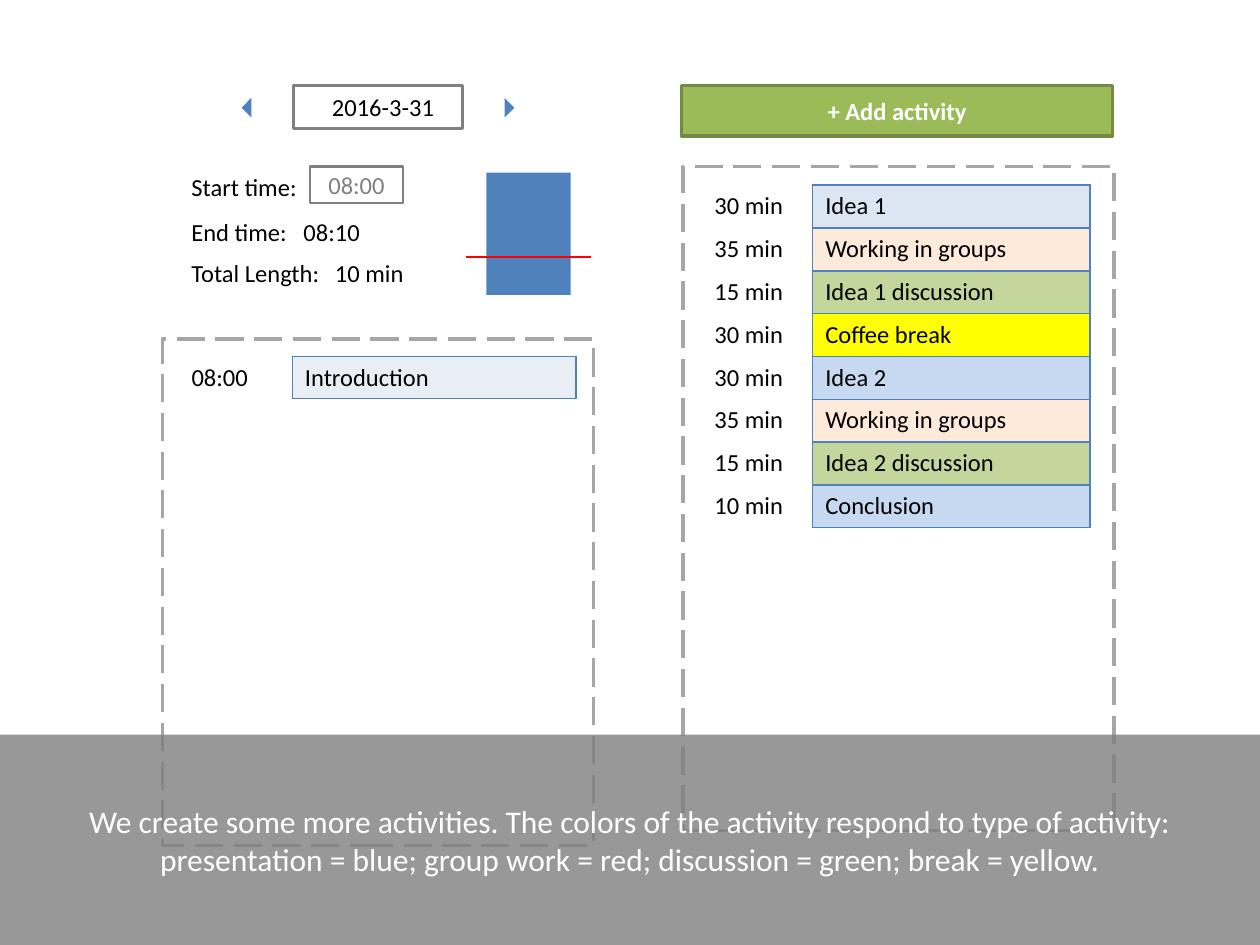
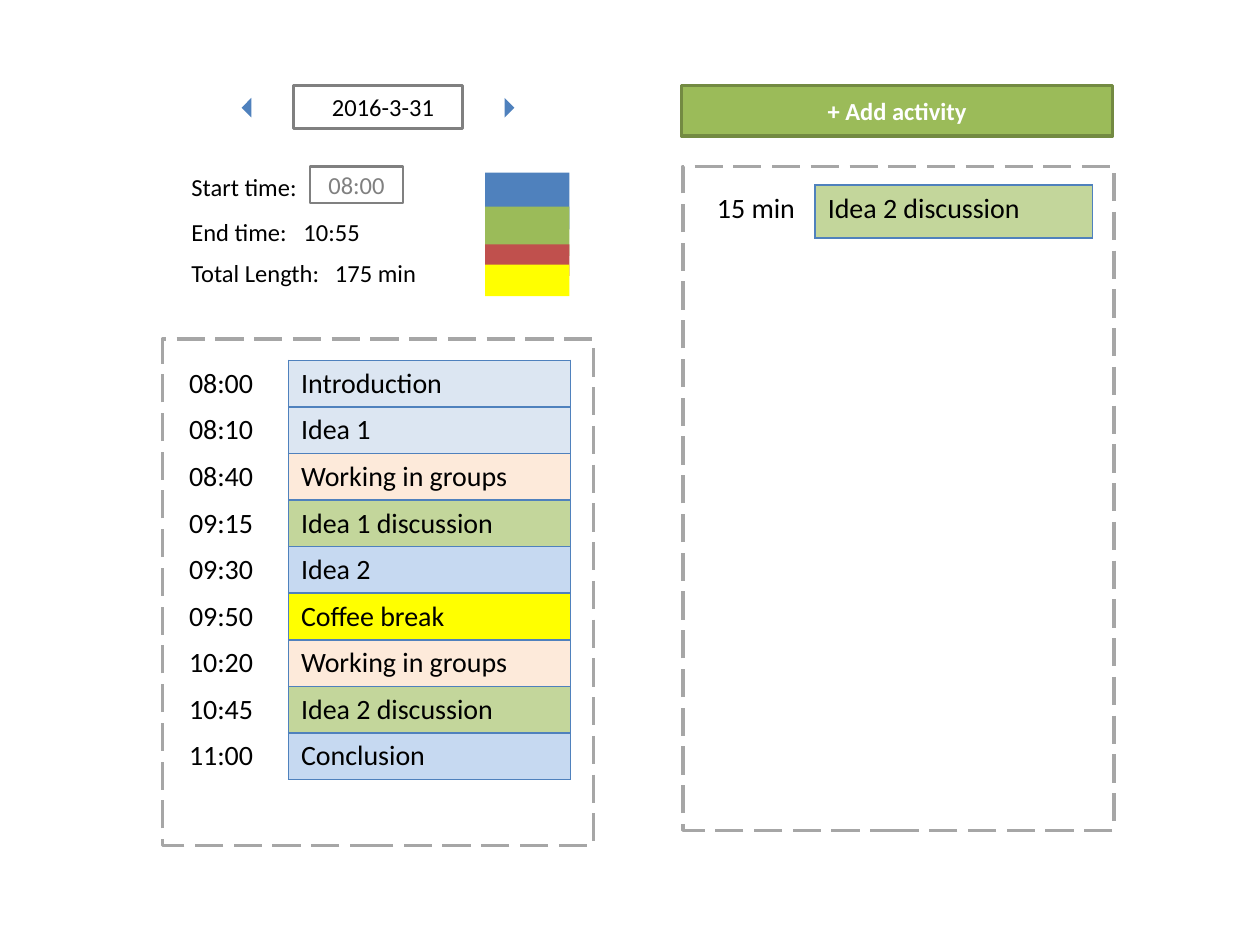
"""Build two planner screens: activities being created, then scheduled."""
from dataclasses import dataclass
from typing import Optional

import lxml.etree
import pptx
import pptx.dml.color
import pptx.enum.dml
import pptx.enum.shapes
import pptx.enum.text
import pptx.oxml.ns
import pptx.util
from pptx.dml.color import RGBColor
from pptx.util import Inches

BLACK = RGBColor(0x00, 0x00, 0x00)
WHITE = RGBColor(0xFF, 0xFF, 0xFF)
GRAY = RGBColor(0x80, 0x80, 0x80)
FRAME_GRAY = RGBColor(0xA6, 0xA6, 0xA6)
BAND_GRAY = RGBColor(0x7F, 0x7F, 0x7F)
BLUE = RGBColor(0x4F, 0x81, 0xBD)
GREEN = RGBColor(0x9B, 0xBB, 0x59)
DARK_GREEN = RGBColor(0x73, 0x8A, 0x42)
BRICK = RGBColor(0xC0, 0x50, 0x4D)
RED = RGBColor(0xFF, 0x00, 0x00)
YELLOW = RGBColor(0xFF, 0xFF, 0x00)
ICE_BLUE = RGBColor(0xE9, 0xED, 0xF4)
PALE_BLUE = RGBColor(0xDC, 0xE6, 0xF2)
SOFT_BLUE = RGBColor(0xC6, 0xD9, 0xF1)
PALE_RED = RGBColor(0xFD, 0xEA, 0xDA)
PALE_GREEN = RGBColor(0xC3, 0xD6, 0x9B)

FONT = "Calibri"
Shapes = pptx.enum.shapes.MSO_SHAPE
Align = pptx.enum.text.PP_ALIGN
Anchor = pptx.enum.text.MSO_ANCHOR
qn = pptx.oxml.ns.qn


@dataclass
class Box:
    """A rectangle in inches."""
    left: float
    top: float
    width: float
    height: float

    def lengths(self) -> list:
        """Return the four lengths in drawing units."""
        return [Inches(n) for n in (self.left, self.top, self.width, self.height)]


@dataclass
class Activity:
    """One row of an activity list."""
    time: str
    name: str
    color: RGBColor


@dataclass
class ActivityTable:
    """An activity list with its place, column widths and text size."""
    left: float
    top: float
    columns: tuple
    row_height: float
    size: int
    activities: list


@dataclass
class Bar:
    """A coloured part of the bar that sums up activity types."""
    top: float
    height: float
    color: RGBColor


@dataclass
class Screen:
    """What differs between the planner screens."""
    end_time: str
    total_length: str
    total_width: float
    bar_left: float
    bars: list
    tables: list
    limit_line: bool = False
    caption: str = ""


def write(text_frame, text: str, size: float, color: RGBColor = BLACK,
          align=Align.LEFT, bold: bool = False) -> None:
    """Put one formatted paragraph into a text frame."""
    text_frame.text = text
    paragraph = text_frame.paragraphs[0]
    paragraph.alignment = align
    for run in paragraph.runs:
        run.font.name = FONT
        run.font.size = pptx.util.Pt(size)
        run.font.bold = bold
        run.font.color.rgb = color


def add_box(slide, box: Box, fill: Optional[RGBColor] = None,
            line: Optional[RGBColor] = None, width: float = 1.5,
            kind=Shapes.RECTANGLE):
    """Add a flat preset shape."""
    shape = slide.shapes.add_shape(kind, *box.lengths())
    shape.shadow.inherit = False
    if fill is None:
        shape.fill.background()
    else:
        shape.fill.solid()
        shape.fill.fore_color.rgb = fill
    if line is None:
        shape.line.fill.background()
    else:
        shape.line.color.rgb = line
        shape.line.width = pptx.util.Pt(width)
    return shape


def add_label(slide, box: Box, text: str, tab: float = 0) -> None:
    """Add a one-line label whose value, if any, starts at a tab stop."""
    text_frame = slide.shapes.add_textbox(*box.lengths()).text_frame
    text_frame.word_wrap = False
    write(text_frame, text, 14)
    if tab:
        properties = text_frame.paragraphs[0].runs[0].font
        properties = text_frame.paragraphs[0].runs[0]
        paragraph_properties = text_frame.paragraphs[0]._p.get_or_add_pPr()
        stops = lxml.etree.SubElement(paragraph_properties, qn("a:tabLst"))
        lxml.etree.SubElement(stops, qn("a:tab"), pos=str(Inches(tab)), algn="l")


def add_borders(cell_element, sides: str) -> None:
    """Draw blue borders on the given sides of a table cell."""
    properties = cell_element.get_or_add_tcPr()
    for index, side in enumerate(sides):
        border = lxml.etree.Element(qn(f"a:ln{side}"), w=str(pptx.util.Pt(1)))
        fill = lxml.etree.SubElement(border, qn("a:solidFill"))
        lxml.etree.SubElement(fill, qn("a:srgbClr"), val=str(BLUE))
        properties.insert(index, border)


def add_activity_table(slide, data: ActivityTable) -> None:
    """Add a list of times and coloured activity names."""
    count = len(data.activities)
    box = Box(data.left, data.top, sum(data.columns), data.row_height * count)
    table = slide.shapes.add_table(count, 2, *box.lengths()).table
    table.first_row = table.horz_banding = False
    for column, width in zip(table.columns, data.columns):
        column.width = Inches(width)
    for index, activity in enumerate(data.activities):
        table.rows[index].height = Inches(data.row_height)
        time_cell, name_cell = table.cell(index, 0), table.cell(index, 1)
        time_cell.fill.background()
        name_cell.fill.solid()
        name_cell.fill.fore_color.rgb = activity.color
        write(time_cell.text_frame, activity.time, data.size)
        write(name_cell.text_frame, activity.name, data.size)
        add_borders(time_cell._tc, "R")
        add_borders(name_cell._tc, "LRTB")


def add_frames(slide) -> None:
    """Add the add-activity button and the two dashed list frames."""
    button = add_box(slide, Box(5.41, 0.68, 3.42, 0.4), GREEN, DARK_GREEN, 2)
    write(button.text_frame, "+ Add activity", 14, WHITE, Align.CENTER, True)
    for box in (Box(5.42, 1.32, 3.42, 5.27), Box(1.29, 2.69, 3.42, 4.02)):
        frame = add_box(slide, box, line=FRAME_GRAY, width=2)
        frame.line.dash_style = pptx.enum.dml.MSO_LINE.LONG_DASH


def add_day_controls(slide, screen: Screen) -> None:
    """Add the date picker, the start time field and the time labels."""
    start = add_box(slide, Box(2.46, 1.32, 0.74, 0.29), WHITE, GRAY)
    write(start.text_frame, "08:00", 14, GRAY, Align.CENTER)
    date = add_box(slide, Box(2.33, 0.68, 1.34, 0.34), line=GRAY)
    date.text_frame.margin_left = Inches(0.18)
    write(date.text_frame, "2016-3-31", 14, align=Align.CENTER)
    for left, rotation in ((1.94, 45), (3.95, 225)):
        arrow = add_box(slide, Box(left, 0.8, 0.11, 0.11), BLUE,
                        kind=Shapes.RIGHT_TRIANGLE)
        arrow.rotation = rotation
    add_label(slide, Box(1.42, 1.32, 1.05, 0.34), "Start time:")
    add_label(slide, Box(1.42, 1.67, 1.55, 0.34),
              f"End time:\t{screen.end_time}", 0.89)
    add_label(slide, Box(1.42, 2, screen.total_width, 0.34),
              f"Total Length:\t{screen.total_length}", 1.14)


def add_limit_line(slide) -> None:
    """Add the red line across the type bar."""
    line = slide.shapes.add_connector(
        pptx.enum.shapes.MSO_CONNECTOR.STRAIGHT,
        Inches(3.7), Inches(2.04), Inches(4.69), Inches(2.04))
    line.line.color.rgb = RED
    line.line.width = pptx.util.Pt(0.75)
    lxml.etree.SubElement(line.element.spPr, qn("a:effectLst"))


def add_caption(slide, text: str) -> None:
    """Add the translucent caption band at the foot of the slide."""
    band = add_box(slide, Box(0, 5.83, 10, 1.67), BAND_GRAY)
    color = band.element.spPr.find(f".//{qn('a:srgbClr')}")
    lxml.etree.SubElement(color, qn("a:alpha"), val="80000")
    write(band.text_frame, text, 18, WHITE, Align.CENTER)
    band.text_frame.vertical_anchor = Anchor.MIDDLE


def add_screen(presentation, screen: Screen) -> None:
    """Add one planner slide."""
    slide = presentation.slides.add_slide(presentation.slide_layouts[6])
    add_frames(slide)
    add_day_controls(slide, screen)
    for bar in screen.bars:
        add_box(slide, Box(screen.bar_left, bar.top, 0.67, bar.height), bar.color)
    if screen.limit_line:
        add_limit_line(slide)
    for table in screen.tables:
        add_activity_table(slide, table)
    if screen.caption:
        add_caption(slide, screen.caption)


PLANNING = Screen(
    "08:10", "10 min", 1.91, 3.86, [Bar(1.37, 0.97, BLUE)],
    [
        ActivityTable(5.57, 1.47, (0.88, 2.2), 0.34, 14, [
            Activity("30 min", "Idea 1", PALE_BLUE),
            Activity("35 min", "Working in groups", PALE_RED),
            Activity("15 min", "Idea 1 discussion", PALE_GREEN),
            Activity("30 min", "Coffee break", YELLOW),
            Activity("30 min", "Idea 2", SOFT_BLUE),
            Activity("35 min", "Working in groups", PALE_RED),
            Activity("15 min", "Idea 2 discussion", PALE_GREEN),
            Activity("10 min", "Conclusion", SOFT_BLUE),
        ]),
        ActivityTable(1.42, 2.83, (0.9, 2.25), 0.33, 14, [
            Activity("08:00", "Introduction", ICE_BLUE),
        ]),
    ],
    limit_line=True,
    caption="We create some more activities. The colors of the activity respond "
            "to type of activity: presentation = blue; group work = red; "
            "discussion = green; break = yellow.",
)

SCHEDULED = Screen(
    "10:55", "175 min", 2.01, 3.85,
    [Bar(1.37, 0.45, BLUE), Bar(1.64, 0.39, GREEN),
     Bar(1.94, 0.25, BRICK), Bar(2.1, 0.25, YELLOW)],
    [
        ActivityTable(1.4, 2.86, (0.89, 2.24), 0.37, 16, [
            Activity("08:00", "Introduction", PALE_BLUE),
            Activity("08:10", "Idea 1", PALE_BLUE),
            Activity("08:40", "Working in groups", PALE_RED),
            Activity("09:15", "Idea 1 discussion", PALE_GREEN),
            Activity("09:30", "Idea 2", SOFT_BLUE),
            Activity("09:50", "Coffee break", YELLOW),
            Activity("10:20", "Working in groups", PALE_RED),
            Activity("10:45", "Idea 2 discussion", PALE_GREEN),
            Activity("11:00", "Conclusion", SOFT_BLUE),
        ]),
        ActivityTable(5.59, 1.47, (0.88, 2.2), 0.42, 16, [
            Activity("15 min", "Idea 2 discussion", PALE_GREEN),
        ]),
    ],
)

presentation = pptx.Presentation()
presentation.slide_width = Inches(10)
presentation.slide_height = Inches(7.5)
for planner_screen in (PLANNING, SCHEDULED):
    add_screen(presentation, planner_screen)
presentation.save("out.pptx")
